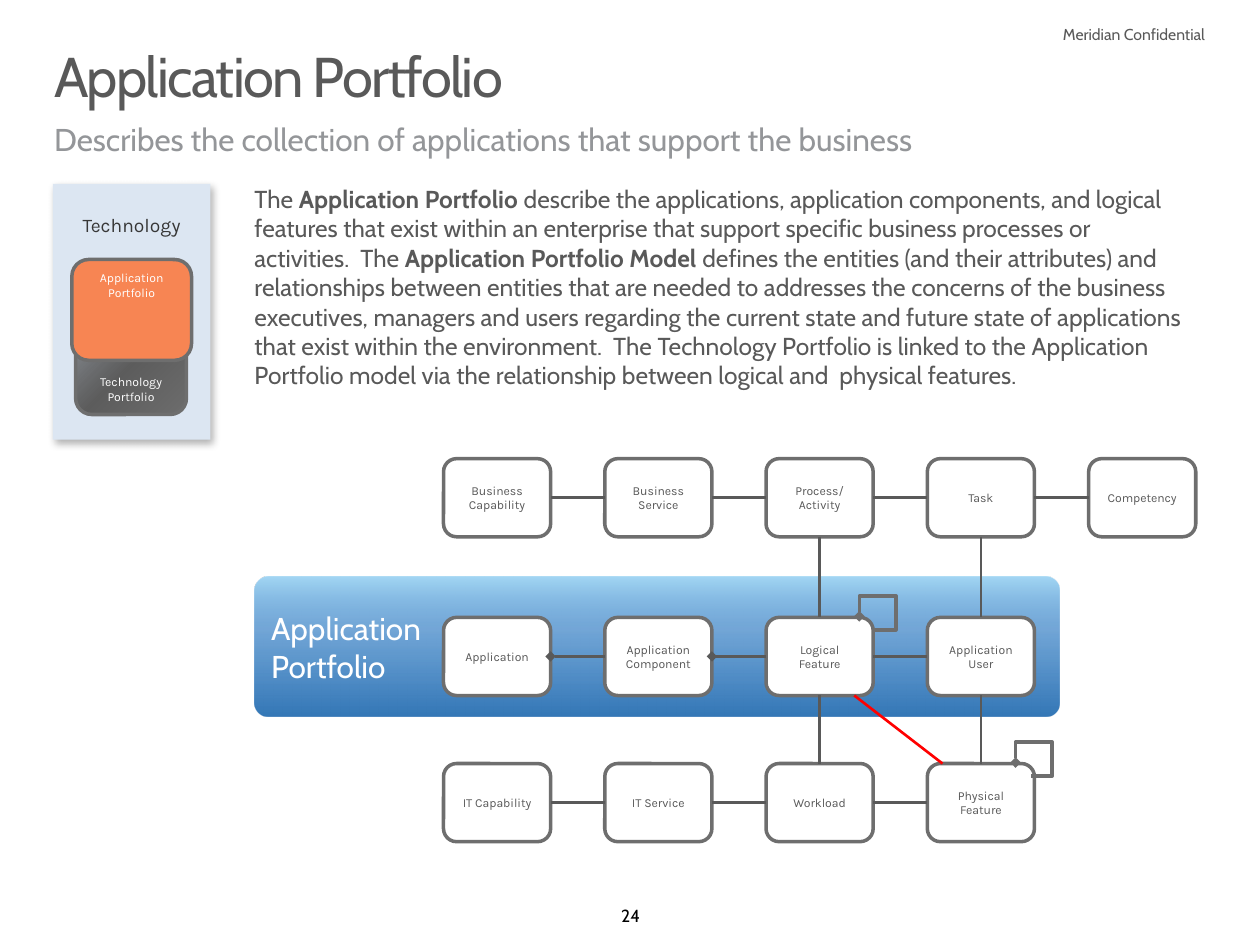
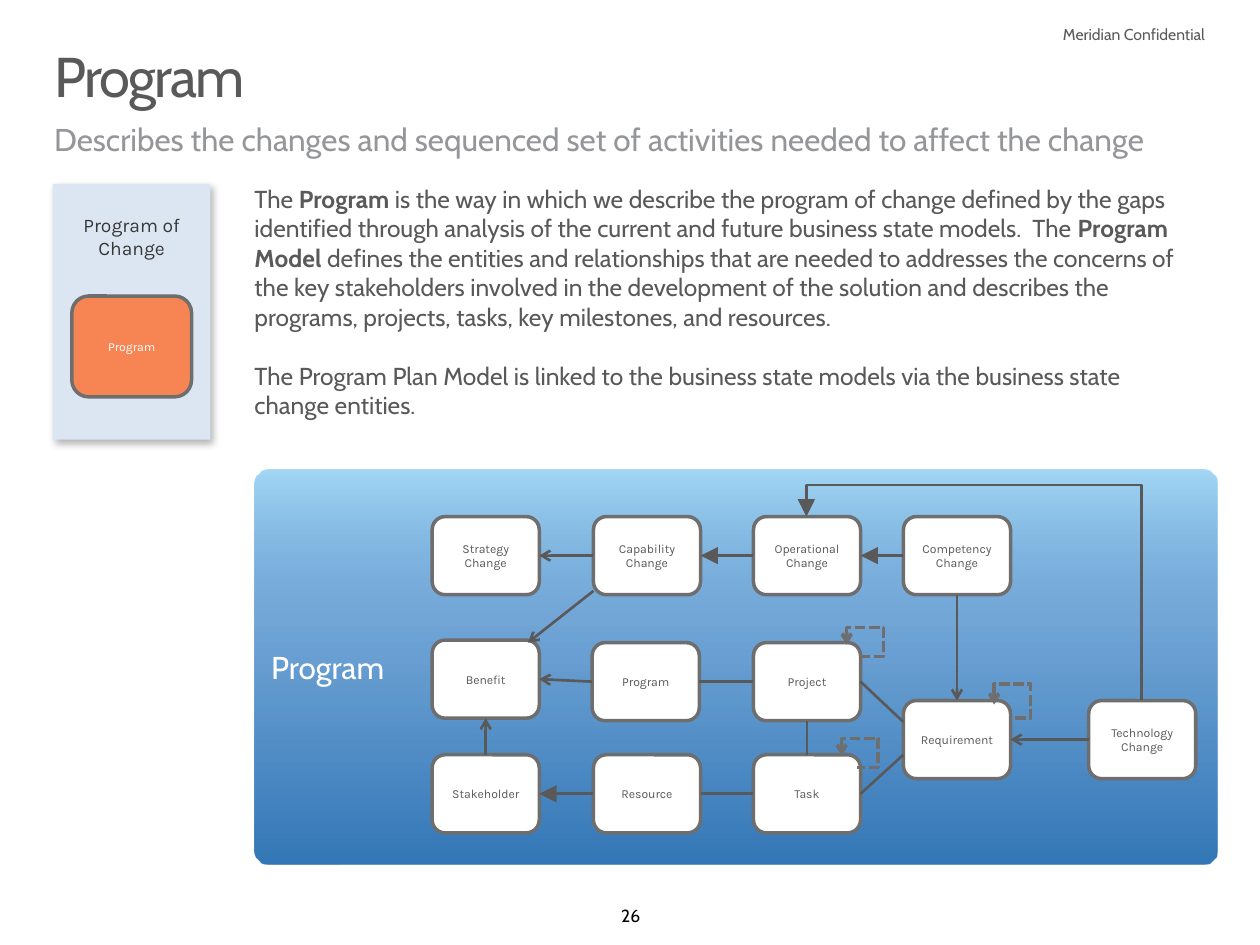
from lxml import etree
from pptx import Presentation
from pptx.dml.color import RGBColor
from pptx.enum import dml, shapes, text
from pptx.oxml.ns import qn
from pptx.util import Inches, Pt

INK = RGBColor(0x59, 0x59, 0x59)
SUBTITLE = RGBColor(0x94, 0x96, 0x99)
BLACK = RGBColor(0, 0, 0)
WHITE = RGBColor(0xFF, 0xFF, 0xFF)
BORDER = RGBColor(0x6E, 0x6E, 0x6E)
PANEL = RGBColor(0xDC, 0xE6, 0xF2)
PANEL_INK = RGBColor(0x37, 0x37, 0x37)
ORANGE = RGBColor(0xF7, 0x85, 0x53)
RED = RGBColor(0xFF, 0, 0)
# Gradient stops: position %, colour, opacity %
BLUE_STOPS = [(0, "3477B6", 100), (63, "3B83C7", 71), (100, "A4D7F4", 100)]
GREY_STOPS = [(0, "414141", 46), (50, "5D5D5D", 100), (100, "6E6E6E", 100)]

HEADING, LABEL = "Cabin", "Karla"
BOX_W, BOX_H = 0.85, 0.62
LOOP_W = 0.29
CONFIDENTIAL = "Meridian Confidential"

# ---- Content: ** switches bold on and off ----
COLS = [3.52 + 1.28 * i for i in range(5)]
APP_ROWS = [
    (3.64, ["Business Capability", "Business Service", "Process/ Activity", "Task", "Competency"]),
    (4.9, ["Application", "Application Component", "Logical Feature", "Application User"]),
    (6.06, ["IT Capability", "IT Service", "Workload", "Physical Feature"]),
]

SLIDES = [
    dict(
        number="24",
        title="Application Portfolio",
        subtitle="Describes the collection of applications that support the business",
        body=[
            "The **Application Portfolio **describe the applications, application components, and "
            "logical features that exist within an enterprise that support specific business "
            "processes or activities.  The **Application Portfolio Model **defines the entities "
            "(and their attributes) and relationships between entities that are needed to "
            "addresses the concerns of the business executives, managers and users regarding the "
            "current state and future state of applications that exist within the environment.  "
            "The Technology Portfolio is linked to the Application Portfolio model via the "
            "relationship between logical and  physical features."
        ],
        panel="Technology",
        back_tile=["Technology", "Portfolio"],
        tile=("Application Portfolio", 2.06, "TOP"),
        band=(["Application", "Portfolio"], 4.58, 6.39, 1.11, 0.101),
        boxes={name: (x, y) for y, names in APP_ROWS for x, name in zip(COLS, names)},
        links=[
            ("Business Capability", "Business Service", None),
            ("Business Service", "Process/ Activity", None),
            ("Process/ Activity", "Task", None),
            ("Task", "Competency", None),
            ("Application", "Application Component", "diamond"),
            ("Application Component", "Logical Feature", "diamond"),
            ("Logical Feature", "Application User", None),
            ("IT Capability", "IT Service", None),
            ("IT Service", "Workload", None),
            ("Workload", "Physical Feature", None),
            ("Process/ Activity", "Logical Feature", None),
            ("Logical Feature", "Workload", None),
            ("Task", "Application User", None),
            ("Application User", "Physical Feature", None),
        ],
        slanted=[(6.78, 5.52, 7.48, 6.06, RED, None)],
        loops=[(6.82, 4.73, 0.27), (8.06, 5.89, 0.27)],
        loop_head="diamond",
        loop_dash=None,
    ),
    dict(
        number="26",
        title="Program",
        subtitle="Describes the changes and sequenced set of activities needed to affect the change",
        body=[
            "The **Program **is the way in which we describe the program of change defined by the "
            "gaps identified through analysis of the current and future business state models.  "
            "The **Program Model **defines the entities and relationships that are needed to "
            "addresses the concerns of the key stakeholders involved in the development of the "
            "solution and describes the programs, projects, tasks, key milestones, and resources.",
            "The Program Plan Model is linked to the business state models via the business state "
            "change entities.",
        ],
        panel="Program of Change",
        back_tile=None,
        tile=("Program", 2.35, "MIDDLE"),
        band=(["Program"], 3.73, 7.64, 3.13, 0.037),
        boxes={
            "Strategy Change": (3.43, 4.1),
            "Capability Change": (4.71, 4.1),
            "Operational Change": (5.98, 4.1),
            "Competency Change": (7.17, 4.1),
            "Benefit": (3.43, 5.08),
            "Program": (4.7, 5.1),
            "Project": (5.98, 5.1),
            "Stakeholder": (3.43, 5.99),
            "Resource": (4.71, 5.99),
            "Task": (5.98, 5.99),
            "Requirement": (7.17, 5.56),
            "Technology Change": (8.64, 5.56),
        },
        links=[
            ("Strategy Change", "Capability Change", "arrow"),
            ("Capability Change", "Operational Change", "triangle"),
            ("Operational Change", "Competency Change", "triangle"),
            ("Benefit", "Program", "arrow"),
            ("Program", "Project", None),
            ("Stakeholder", "Resource", "triangle"),
            ("Resource", "Task", None),
            ("Requirement", "Technology Change", "arrow"),
            ("Requirement", "Competency Change", "arrow"),
            ("Benefit", "Stakeholder", "arrow"),
            ("Project", "Task", None),
        ],
        slanted=[
            (6.83, 6.3, 7.17, 5.99, INK, None),
            (6.83, 5.41, 7.17, 5.73, INK, None),
            (4.19, 5.1, 4.71, 4.69, INK, "arrow"),
        ],
        loops=[(7.89, 5.43, 0.27), (6.68, 5.86, 0.23), (6.72, 4.98, 0.23)],
        loop_head="arrow",
        loop_dash=dml.MSO_LINE.SQUARE_DOT,
    ),
]


# ---- Helpers ----
def write(sp, paras, size, color, font=HEADING, align="LEFT", anchor="TOP", inset=None,
          top=None, gap=0, leading=None, tracking=None):
    tf = sp.text_frame
    tf.word_wrap = True
    tf.vertical_anchor = getattr(text.MSO_ANCHOR, anchor)
    if inset is not None:
        tf.margin_left = tf.margin_right = tf.margin_top = tf.margin_bottom = Inches(inset)
    if top is not None:
        tf.margin_top = Inches(top)
    for i, para in enumerate(paras):
        p = tf.add_paragraph() if i else tf.paragraphs[0]
        p.alignment = getattr(text.PP_ALIGN, align)
        if i and gap:
            p.space_before = Pt(gap)
        if leading:
            p.line_spacing = leading
        for k, part in enumerate(para.split("**")):
            r = p.add_run()
            r.text = part
            r.font.name, r.font.size, r.font.bold = font, Pt(size), k % 2 == 1
            r.font.color.rgb = color
            if tracking:
                r._r.get_or_add_rPr().set("spc", str(tracking))


def add_text(slide, box, paras, size, color, **fmt):
    write(slide.shapes.add_textbox(*map(Inches, box)), paras, size, color, **fmt)


def add_box(slide, box, fill, line=None, kind="ROUNDED_RECTANGLE"):
    sp = slide.shapes.add_shape(getattr(shapes.MSO_SHAPE, kind), *map(Inches, box))
    sp.shadow.inherit = False
    if fill is not None:
        sp.fill.solid()
        sp.fill.fore_color.rgb = fill
    if line is None:
        sp.line.fill.background()
    else:
        sp.line.color.rgb, sp.line.width = line, Pt(2)
    return sp


def add_gradient(sp, stops, angle):
    sp.fill.gradient()
    sp.fill.gradient_angle = angle
    gs_list = sp._element.spPr.find(qn("a:gradFill")).find(qn("a:gsLst"))
    for gs in list(gs_list):
        gs_list.remove(gs)
    for pos, color, opacity in stops:
        gs = etree.SubElement(gs_list, qn("a:gs"), pos=str(pos * 1000))
        clr = etree.SubElement(gs, qn("a:srgbClr"), val=color)
        if opacity < 100:
            etree.SubElement(clr, qn("a:alpha"), val=str(opacity * 1000))


def add_shadow(sp):
    effects = sp._element.spPr.find(qn("a:effectLst"))
    shadow = etree.SubElement(effects, qn("a:outerShdw"), blurRad=str(Pt(4.5)),
                              dist=str(Pt(2.6)), dir=str(53 * 60000), algn="tl", rotWithShape="0")
    clr = etree.SubElement(shadow, qn("a:srgbClr"), val="000000")
    etree.SubElement(clr, qn("a:alpha"), val="30000")


def add_head(sp, head):
    if head:
        size = "lg" if head == "triangle" else "med"
        etree.SubElement(sp.line._get_or_add_ln(), qn("a:headEnd"), type=head, w=size, len=size)


def add_line(slide, x1, y1, x2, y2, color=INK, head=None, kind="STRAIGHT"):
    cn = slide.shapes.add_connector(getattr(shapes.MSO_CONNECTOR, kind),
                                    *map(Inches, (x1, y1, x2, y2)))
    cn.line.color.rgb, cn.line.width = color, Pt(1.5)
    add_head(cn, head)
    etree.SubElement(cn._element.spPr, qn("a:effectLst"))
    return cn


def add_link(slide, a, b, head):
    dx, dy = b.left - a.left, b.top - a.top
    if abs(dx) > abs(dy):
        sides = (3, 1) if dx > 0 else (1, 3)
    else:
        sides = (2, 0) if dy > 0 else (0, 2)
    cn = add_line(slide, 0, 0, 1, 1, head=head)
    cn.begin_connect(a, sides[0])
    cn.end_connect(b, sides[1])


def add_loop(slide, x, y, h, head, dash):
    steps = [(0, 0.6 * h), (0, 0), (LOOP_W, 0), (LOOP_W, h), (0.12, h)]
    points = [(Inches(x + dx), Inches(y + dy)) for dx, dy in steps]
    builder = slide.shapes.build_freeform(*points[0])
    builder.add_line_segments(points[1:], close=False)
    sp = builder.convert_to_shape()
    sp.shadow.inherit = False
    sp.fill.background()
    sp.line.color.rgb, sp.line.width = BORDER, Pt(2)
    if dash:
        sp.line.dash_style = dash
    add_head(sp, head)


def add_return_path(slide):
    """Elbow arrow from Technology Change over the top to Operational Change."""
    cn = add_line(slide, 7, 3.5, 8.46, 6.16, head="triangle", kind="ELBOW")
    xfrm = cn._element.spPr.find(qn("a:xfrm"))
    xfrm.set("rot", str(270 * 60000))
    xfrm.set("flipH", "1")
    geom = cn._element.spPr.find(qn("a:prstGeom"))
    guides = geom.find(qn("a:avLst"))
    if guides is None:
        guides = etree.SubElement(geom, qn("a:avLst"))
    etree.SubElement(guides, qn("a:gd"), name="adj1", fmla="val -17100")


# ---- Slide parts ----
def add_frame(slide, c):
    add_text(slide, (4.75, 7.13, 0.51, 0.27), [c["number"]], 10, BLACK, align="CENTER")
    add_text(slide, (8.02, 0.15, 1.64, 0.25), [CONFIDENTIAL], 9, INK, align="RIGHT")
    add_text(slide, (0.43, 0.95, 9.13, 0.3), [c["subtitle"]], 18, SUBTITLE,
             anchor="BOTTOM", inset=0)
    add_text(slide, (0.43, 0.39, 9.15, 0.56), [c["title"]], 32, INK,
             inset=0, leading=0.9, tracking=-100)
    add_text(slide, (2.02, 1.46, 7.4, 1.88), c["body"], 14, INK, inset=0, gap=17)


def add_side_panel(slide, c):
    panel = add_box(slide, (0.42, 1.46, 1.25, 2.03), PANEL, kind="RECTANGLE")
    add_shadow(panel)
    write(panel, [c["panel"]], 11, PANEL_INK, LABEL, "CENTER", top=0.23)
    if c["back_tile"]:
        back = add_box(slide, (0.6, 2.52, 0.88, 0.77), None, BORDER)
        add_gradient(back, GREY_STOPS, 315)
        write(back, c["back_tile"], 7, WHITE, LABEL, "CENTER", "BOTTOM")
    label, y, anchor = c["tile"]
    tile = add_box(slide, (0.57, y, 0.95, 0.8), ORANGE, BORDER)
    write(tile, [label], 7, WHITE, LABEL, "CENTER", anchor)


def add_diagram(slide, c):
    label, y, w, h, corner = c["band"]
    band = add_box(slide, (2.02, y, w, h), None)
    band.adjustments[0] = corner
    add_gradient(band, BLUE_STOPS, 90)
    write(band, label, 18, WHITE, anchor="MIDDLE")

    boxes = {}
    for name, (x, y) in c["boxes"].items():
        boxes[name] = add_box(slide, (x, y, BOX_W, BOX_H), WHITE, BORDER)
        write(boxes[name], [name], 7, INK, LABEL, "CENTER", "MIDDLE")
    for a, b, head in c["links"]:
        add_link(slide, boxes[a], boxes[b], head)
    for line in c["slanted"]:
        add_line(slide, *line)
    for loop in c["loops"]:
        add_loop(slide, *loop, c["loop_head"], c["loop_dash"])
    if "Technology Change" in boxes:
        add_return_path(slide)


def main():
    prs = Presentation()
    prs.slide_width, prs.slide_height = Inches(10), Inches(7.5)
    for content in SLIDES:
        slide = prs.slides.add_slide(prs.slide_layouts[6])
        add_frame(slide, content)
        add_side_panel(slide, content)
        add_diagram(slide, content)
    prs.save("out.pptx")


if __name__ == "__main__":
    main()
